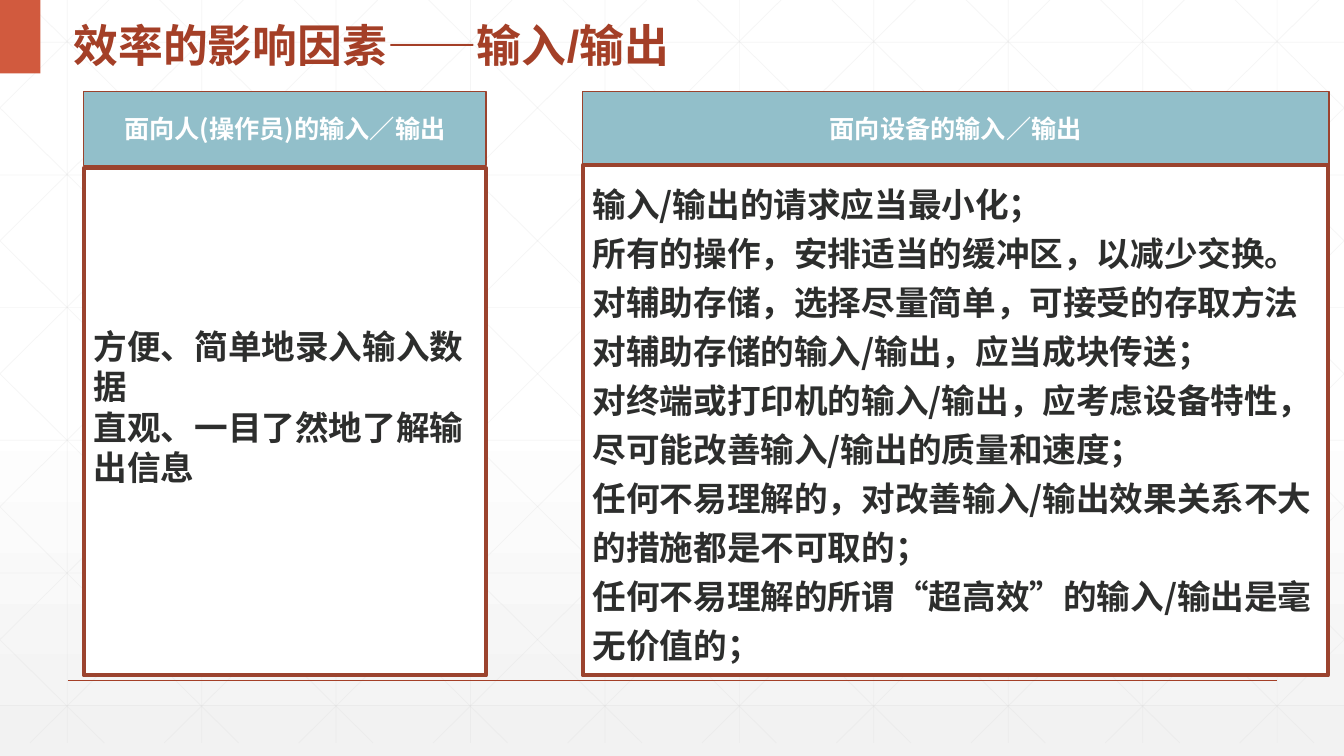
"""Build the slide on input/output as a factor in efficiency."""
from dataclasses import dataclass

from lxml import etree
from pptx import Presentation
from pptx import util as u
from pptx.dml.color import RGBColor
from pptx.enum import shapes, text
from pptx.oxml import ns
from pptx.shapes.base import BaseShape
from pptx.slide import Slide

WHITE = RGBColor(0xFF, 0xFF, 0xFF)
PALE = RGBColor(0xF2, 0xF2, 0xF2)
GRID = RGBColor(0xD9, 0xD9, 0xD9)
RUST = RGBColor(0xA4, 0x3F, 0x27)
BORDER = RGBColor(0x9B, 0x43, 0x2E)
CORAL = RGBColor(0xD1, 0x5A, 0x3E)
TEAL = RGBColor(0x92, 0xBF, 0xCA)
INK = RGBColor(0x2D, 0x2E, 0x2D)
SANS = "Noto Sans CJK SC"
W, H = 13.33, 7.5
GRID_H, STEP_X, STEP_Y, RUN = 7.37, 4 / 3, 1.316, 7.45


@dataclass
class Style:
    size: float
    color: RGBColor
    font: str = SANS
    align: text.PP_ALIGN = text.PP_ALIGN.LEFT
    spacing: float | u.Pt | None = None


@dataclass
class Box:
    at: tuple[float, float, float, float]
    fill: RGBColor
    border: float
    lines: list[str]
    style: Style
    bottom: float = 0.05


HEAD = Style(18, WHITE, align=text.PP_ALIGN.CENTER)
BODY = Style(24, INK)
LOOSE = Style(24, INK, spacing=u.Pt(35))
TITLE = Style(32, RUST, "Arial", spacing=1.3)

BOXES = [
    Box((0.83, 0.91, 3.99, 0.73), TEAL, 1, ["面向人(操作员)的输入／输出"], HEAD),
    Box((5.78, 0.91, 7.4, 0.73), TEAL, 1, ["面向设备的输入／输出"], HEAD),
    Box((0.83, 1.67, 3.99, 5.03), WHITE, 3, [
        "方便、简单地录入输入数据",
        "直观、一目了然地了解输出信息",
    ], BODY, 0.35),
    Box((5.78, 1.64, 7.39, 5.06), WHITE, 3, [
        "输入/输出的请求应当最小化；",
        "所有的操作，安排适当的缓冲区，以减少交换。",
        "对辅助存储，选择尽量简单，可接受的存取方法",
        "对辅助存储的输入/输出，应当成块传送；",
        "对终端或打印机的输入/输出，应考虑设备特性，尽可能改善输入/输出的质量和速度；",
        "任何不易理解的，对改善输入/输出效果关系不大的措施都是不可取的；",
        "任何不易理解的所谓“超高效”的输入/输出是毫无价值的；",
    ], LOOSE),
]


def add_line(s: Slide, x1: float, y1: float, x2: float, y2: float,
             color: RGBColor, width: float, alpha: int = 100) -> None:
    c = s.shapes.add_connector(shapes.MSO_CONNECTOR.STRAIGHT,
                               *(u.Inches(v) for v in (x1, y1, x2, y2)))
    c.line.color.rgb = color
    c.line.width = u.Pt(width)
    sp_pr = c._element.spPr
    if alpha < 100:
        clr = sp_pr.find(".//" + ns.qn("a:srgbClr"))
        etree.SubElement(clr, ns.qn("a:alpha")).set("val", str(alpha * 1000))
    etree.SubElement(sp_pr, ns.qn("a:effectLst"))


def add_grid(s: Slide) -> None:
    lines = [(STEP_X * (k + 0.5), 0, STEP_X * (k + 0.5), GRID_H) for k in range(10)]
    lines += [(0, 0.42 + STEP_Y * k, W, 0.42 + STEP_Y * k) for k in range(6)]
    slope = GRID_H / RUN
    falling = []
    for k in range(-5, 10):
        start = 0.25 + STEP_X * k
        left, right = max(start, 0), min(start + RUN, W)
        falling.append((left, (left - start) * slope, right, (right - start) * slope))
    lines += falling
    lines += [(W - x1, y1, W - x2, y2) for x1, y1, x2, y2 in falling]
    for ends in lines:
        add_line(s, *ends, GRID, 0.5, 25)


def add_rect(s: Slide, kind: shapes.MSO_SHAPE, at: tuple[float, ...],
             fill: RGBColor) -> BaseShape:
    sp = s.shapes.add_shape(kind, *(u.Inches(v) for v in at))
    sp.shadow.inherit = False
    sp.fill.solid()
    sp.fill.fore_color.rgb = fill
    sp.line.fill.background()
    return sp


def write(sp: BaseShape, lines: list[str], style: Style) -> None:
    tf = sp.text_frame
    tf.word_wrap = True
    tf.vertical_anchor = text.MSO_ANCHOR.MIDDLE
    for i, line in enumerate(lines):
        p = tf.add_paragraph() if i else tf.paragraphs[0]
        p.alignment = style.align
        p.line_spacing = style.spacing
        r = p.add_run()
        r.text = line
        r.font.size = u.Pt(style.size)
        r.font.bold = True
        r.font.name = style.font
        r.font.color.rgb = style.color
        etree.SubElement(r.font._element, ns.qn("a:ea")).set("typeface", SANS)


def add_box(s: Slide, box: Box) -> None:
    sp = add_rect(s, shapes.MSO_SHAPE.FLOWCHART_PROCESS, box.at, box.fill)
    sp.line.color.rgb = BORDER
    sp.line.width = u.Pt(box.border)
    sp.text_frame.margin_bottom = u.Inches(box.bottom)
    write(sp, box.lines, box.style)


def set_background(s: Slide) -> None:
    fill = s.background.fill
    fill.gradient()
    fill.gradient_angle = 270
    for stop, position, color in zip(fill.gradient_stops, (0.53, 1), (WHITE, PALE)):
        stop.position = position
        stop.color.rgb = color


def main() -> None:
    prs = Presentation()
    prs.slide_width, prs.slide_height = u.Inches(W), u.Inches(H)
    s = prs.slides.add_slide(prs.slide_layouts[6])
    set_background(s)
    add_grid(s)
    add_line(s, 0.67, 6.75, 12.67, 6.75, RUST, 1)
    add_rect(s, shapes.MSO_SHAPE.RECTANGLE, (0, 0, 0.4, 0.73), CORAL)
    title = s.shapes.add_textbox(*(u.Inches(v) for v in (0.63, 0, 7.39, 0.73)))
    write(title, ["效率的影响因素——输入/输出"], TITLE)
    for box in BOXES:
        add_box(s, box)
    prs.save("out.pptx")


if __name__ == "__main__":
    main()
